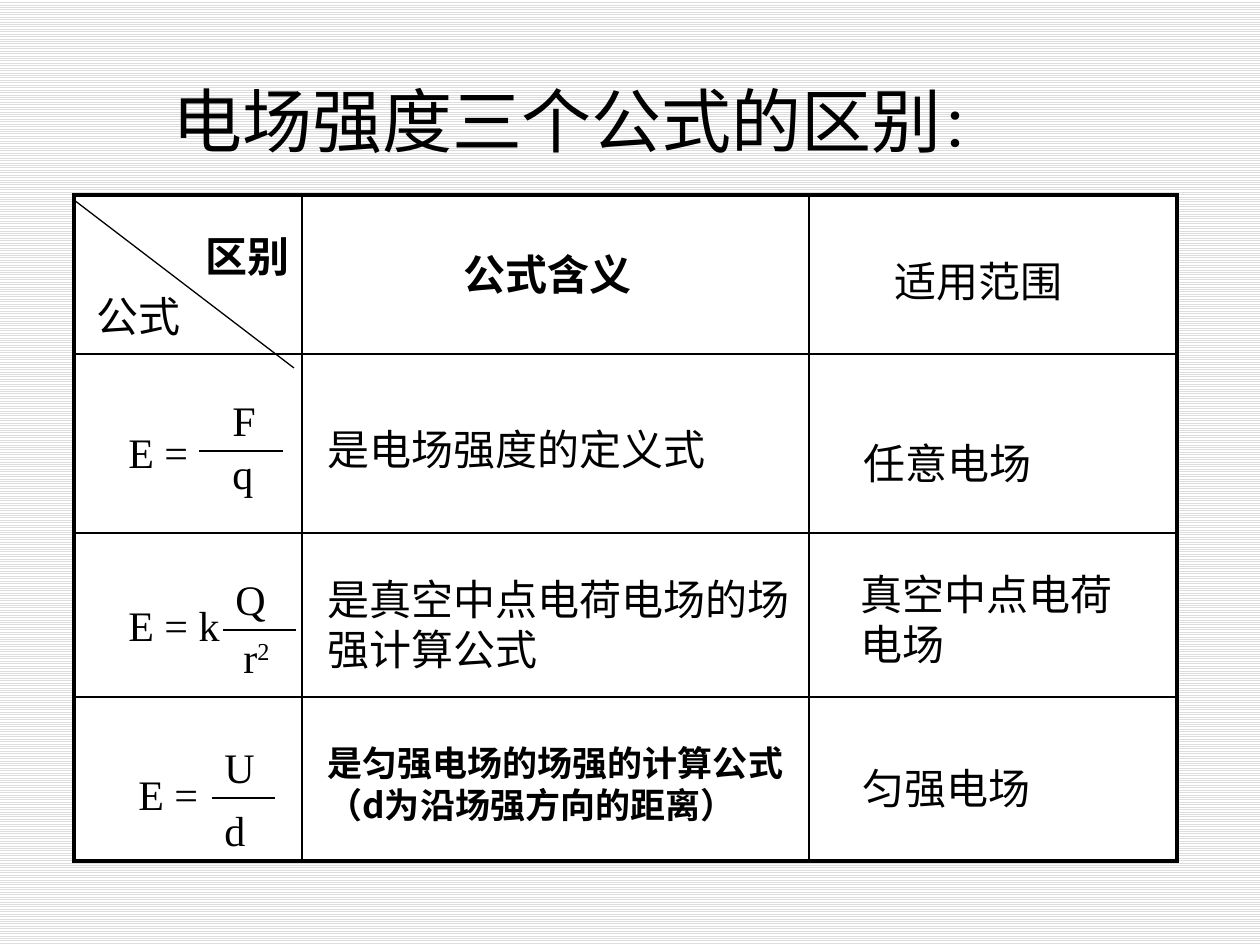
from typing import NamedTuple

from lxml.etree import SubElement
from pptx import Presentation
from pptx.dml.color import RGBColor
from pptx.enum.dml import MSO_PATTERN
from pptx.enum.shapes import MSO_CONNECTOR
from pptx.enum.text import MSO_ANCHOR, MSO_AUTO_SIZE, PP_ALIGN
from pptx.oxml import parse_xml
from pptx.oxml.ns import nsdecls, qn
from pptx.util import Emu, Pt

COLORS = {"ink": "000000", "paper": "FFFFFF", "stripe": "DDDDDD"}
SANS = "Noto Sans CJK SC"
SERIF = "Times New Roman"
COLUMNS = [228, 507, 368]
ROWS = [159, 179, 164, 164]
OUTER, INNER = 2.25, 1


class Label(NamedTuple):
    text: str
    left: int
    top: int
    width: int
    height: int = 63
    font: str = SERIF
    size: int = 24
    bold: bool = False
    wrap: bool = False
    superscript: str = ""


class Line(NamedTuple):
    x1: int
    y1: int
    x2: int
    y2: int


class Formula(NamedTuple):
    labels: list[Label]
    bar: Line


HEADINGS = [
    Label("区别", 193, 224, 110, bold=True),
    Label("公式", 84, 284, 110),
    Label("公式含义", 451, 242, 204, bold=True),
    Label("适用范围", 882, 249, 214, font=SANS),
]
FORMULAS = [
    Formula(
        [Label("E =", 116, 420, 86, wrap=True), Label("F", 220, 388, 49), Label("q", 220, 441, 47)],
        Line(199, 451, 283, 451),
    ),
    Formula(
        [
            Label("E = k", 116, 593, 117),
            Label("Q", 223, 567, 55),
            Label("r", 231, 625, 53, superscript="2"),
        ],
        Line(223, 630, 296, 630),
    ),
    Formula(
        [Label("E =", 126, 762, 86), Label("U", 212, 735, 55), Label("d", 212, 798, 47)],
        Line(212, 798, 275, 798),
    ),
]
MEANINGS = [
    Label("是电场强度的定义式", 315, 417, 425, font=SANS),
    Label("任意电场", 851, 431, 204),
    Label("是真空中点电荷电场的场强计算公式", 315, 567, 504, 113, SANS, wrap=True),
    Label("真空中点电荷电场", 848, 562, 286, 113, SANS, wrap=True),
    Label(
        "是匀强电场的场强的计算公式 （d为沿场强方向的距离）",
        315, 735, 494, 97, SANS, 20, bold=True, wrap=True,
    ),
    Label("匀强电场", 850, 756, 204),
]
DIAGONAL = Line(74, 200, 294, 368)


def px(value: int) -> Emu:
    return Emu(round(value * 914400 / 126))


def color(name: str) -> RGBColor:
    return RGBColor.from_string(COLORS[name])


def add_run(para, text: str, font: str, size: int, bold: bool = False):
    span = para.add_run()
    span.text = text
    span.font.name = font
    span.font.size = Pt(size)
    span.font.bold = bold
    span.font.color.rgb = color("ink")
    SubElement(span.font._element, qn("a:ea")).set("typeface", SANS)
    return span


def add_label(shapes, label: Label) -> None:
    box = shapes.add_textbox(px(label.left), px(label.top), px(label.width), px(label.height))
    frame = box.text_frame
    frame.word_wrap = label.wrap
    frame.auto_size = MSO_AUTO_SIZE.SHAPE_TO_FIT_TEXT
    para = frame.paragraphs[0]
    add_run(para, label.text, label.font, label.size, label.bold)
    if label.superscript:
        span = add_run(para, label.superscript, label.font, label.size, label.bold)
        span.font._element.set("baseline", "30000")


def add_line(shapes, line: Line) -> None:
    connector = shapes.add_connector(MSO_CONNECTOR.STRAIGHT, *map(px, line))
    connector.line.color.rgb = color("ink")
    connector.line.width = Pt(0.75)
    SubElement(connector._element.spPr, qn("a:effectLst"))


def add_formula(shapes, formula: Formula) -> None:
    group = shapes.add_group_shape()
    add_line(group.shapes, formula.bar)
    for label in formula.labels:
        add_label(group.shapes, label)


def set_borders(cell, widths: dict[str, float]) -> None:
    properties = cell._tc.get_or_add_tcPr()
    for position, (side, width) in enumerate(widths.items()):
        border = parse_xml(
            f'<a:ln{side} {nsdecls("a")} w="{Pt(width)}"><a:solidFill>'
            f'<a:srgbClr val="{COLORS["ink"]}"/></a:solidFill></a:ln{side}>'
        )
        properties.insert(position, border)


def add_grid(shapes) -> None:
    frame = shapes.add_table(
        len(ROWS), len(COLUMNS), px(74), px(195), px(sum(COLUMNS)), px(sum(ROWS))
    )
    table = frame.table
    table.first_row = False
    table.horz_banding = False
    for column, width in zip(table.columns, COLUMNS):
        column.width = px(width)
    for row_index, height in enumerate(ROWS):
        table.rows[row_index].height = px(height)
        for column_index in range(len(COLUMNS)):
            cell = table.cell(row_index, column_index)
            cell.fill.solid()
            cell.fill.fore_color.rgb = color("paper")
            edges = {
                "L": column_index == 0,
                "R": column_index == len(COLUMNS) - 1,
                "T": row_index == 0,
                "B": row_index == len(ROWS) - 1,
            }
            set_borders(cell, {side: OUTER if edge else INNER for side, edge in edges.items()})


def set_title(title) -> None:
    title.left, title.top, title.width, title.height = map(px, (74, 71, 1022, 97))
    frame = title.text_frame
    frame.word_wrap = True
    frame.auto_size = MSO_AUTO_SIZE.NONE
    frame.vertical_anchor = MSO_ANCHOR.TOP
    para = frame.paragraphs[0]
    para.alignment = PP_ALIGN.CENTER
    add_run(para, "电场强度三个公式的区别", SANS, 40)
    add_run(para, "：", SANS, 32)


def main() -> None:
    deck = Presentation()
    deck.slide_width, deck.slide_height = px(1260), px(945)
    page = deck.slides.add_slide(deck.slide_layouts[5])
    fill = page.background.fill
    fill.patterned()
    fill.pattern = MSO_PATTERN.LIGHT_HORIZONTAL
    fill.fore_color.rgb = color("stripe")
    fill.back_color.rgb = color("paper")
    set_title(page.shapes.title)
    add_grid(page.shapes)
    for heading in HEADINGS:
        add_label(page.shapes, heading)
    for formula in FORMULAS:
        add_formula(page.shapes, formula)
    for meaning in MEANINGS:
        add_label(page.shapes, meaning)
    add_line(page.shapes, DIAGONAL)
    deck.save("out.pptx")


if __name__ == "__main__":
    main()
